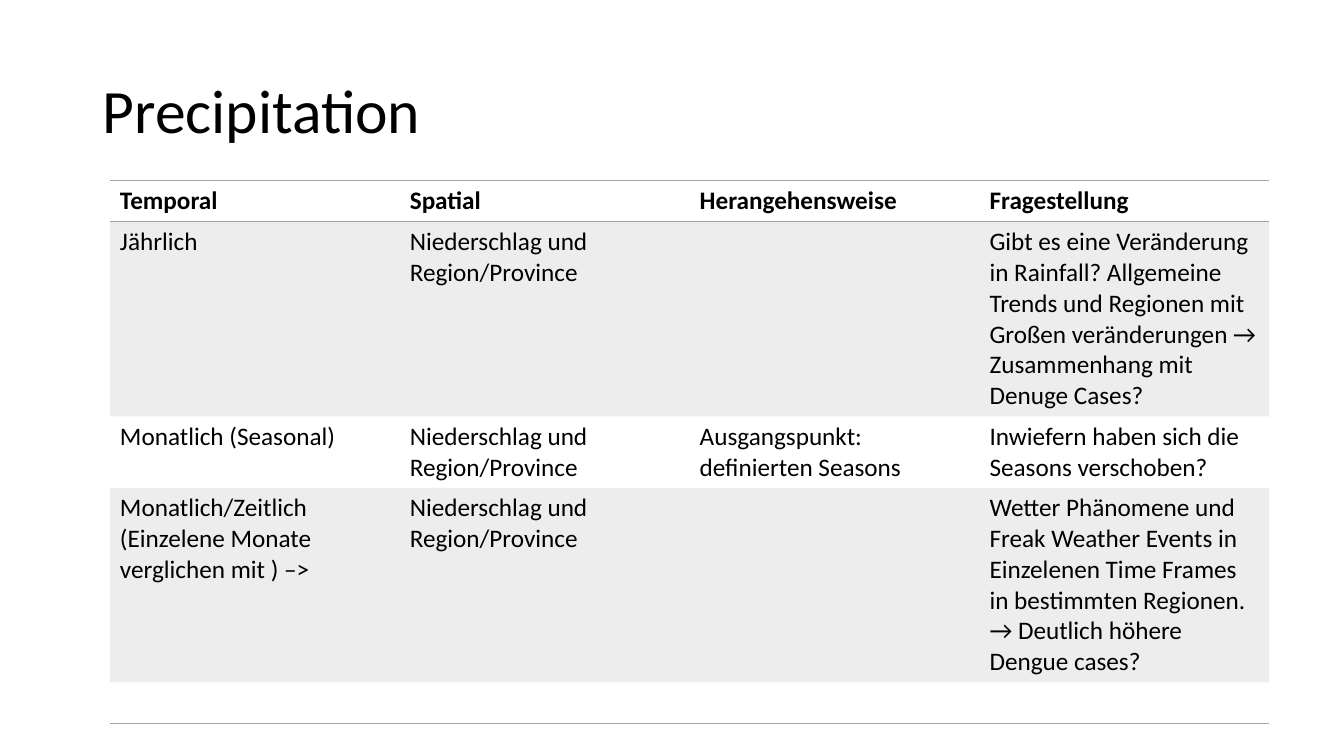
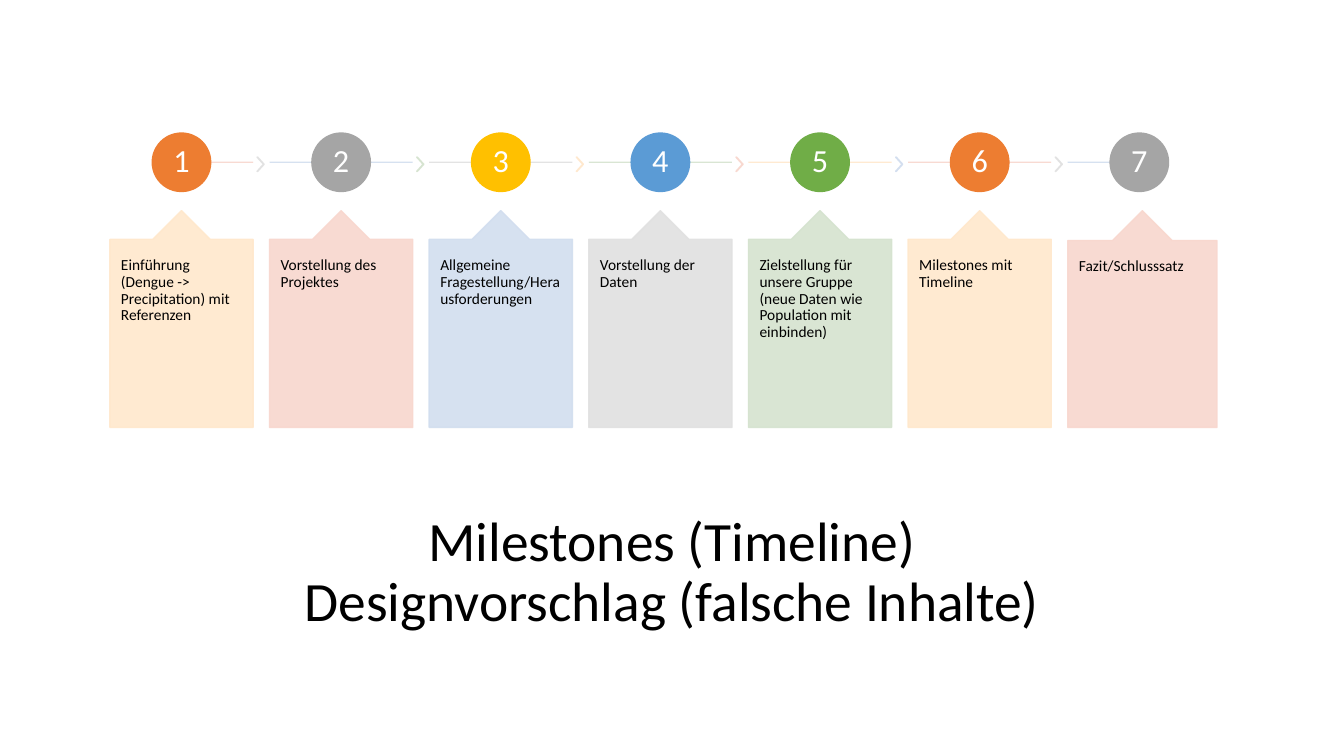
from lxml import etree
from pptx import Presentation
from pptx.dml.color import RGBColor
from pptx.enum.shapes import MSO_CONNECTOR, MSO_SHAPE
from pptx.enum.text import MSO_ANCHOR, PP_ALIGN
from pptx.oxml.ns import qn
from pptx.util import Inches, Pt

LEFT, CENTER = PP_ALIGN.LEFT, PP_ALIGN.CENTER
TOP, MIDDLE = MSO_ANCHOR.TOP, MSO_ANCHOR.MIDDLE
OVAL, CHEVRON, CARD = MSO_SHAPE.OVAL, MSO_SHAPE.CHEVRON, MSO_SHAPE.UP_ARROW_CALLOUT
STRAIGHT = MSO_CONNECTOR.STRAIGHT

FONT, BLACK, WHITE, GRAY = "Calibri", "000000", "FFFFFF", "A5A5A5"
BRIGHT = ["ED7D31", GRAY, "FFC000", "5B9BD5", "70AD47"]
PALE = ["FFE8CC", "F8D7CE", "D2DEEF", "E1E1E1", "D5E3CF"]
PLAIN = "{2D5ABB26-0587-4C30-8999-92F81FD0307C}"  # table style without grid
WIDE, HIGH = 13.33, 7.5


def tint(part, root, color, alpha=100):
    """Paint fill and line of a part; alpha is the opacity in percent of all under root."""
    rgb = RGBColor.from_string(color)
    if hasattr(part, "fill"):
        part.fill.solid()
        part.fill.fore_color.rgb = rgb
    if hasattr(part, "line"):
        part.line.width = Pt(1)
        part.line.color.rgb = rgb
    if alpha < 100:
        for node in root.iter(qn("a:srgbClr")):
            etree.SubElement(node, qn("a:alpha"), val=str(alpha * 1000))


def write(frame, texts, size, color=BLACK, bold=False, align=LEFT, space=0.9):
    """Fill a text frame with one paragraph for each text."""
    frame.word_wrap = True
    look = {"name": FONT, "size": Pt(size), "bold": bold}
    for i, text in enumerate(texts):
        para = frame.add_paragraph() if i else frame.paragraphs[0]
        para.text = text
        para.alignment, para.line_spacing = align, space
        for run in para.runs:
            for key, value in look.items():
                setattr(run.font, key, value)
            run.font.color.rgb = RGBColor.from_string(color)


deck = Presentation()
deck.slide_width, deck.slide_height = Inches(WIDE), Inches(HIGH)

# Slides and titles: text, place, size, alignment
TITLES = [
    ("Precipitation", (0.92, 0.4, 11.5, 1.45), 44, LEFT),
    ("""Milestones (Timeline)
Designvorschlag (falsche Inhalte)""", (1.5, 5.03, 10.33, 1.32), 39.6, CENTER),
]
slides = []
for text, place, size, align in TITLES:
    slide = deck.slides.add_slide(deck.slide_layouts[6])
    title = slide.shapes.add_textbox(*map(Inches, place))
    title.text_frame.vertical_anchor = MIDDLE
    write(title.text_frame, [text], size, align=align)
    slides.append(slide)
rain, plan = slides

# Precipitation table
AREA = "Niederschlag und Region/Province"
ROWS = [
    ["Temporal", "Spatial", "Herangehensweise", "Fragestellung"],
    ["Jährlich", AREA, "",
     "Gibt es eine Veränderung in Rainfall? Allgemeine Trends und Regionen mit "
     "Großen veränderungen → Zusammenhang mit Denuge Cases?"],
    ["Monatlich (Seasonal)", AREA, "Ausgangspunkt: definierten Seasons",
     "Inwiefern haben sich die Seasons verschoben?"],
    ["Monatlich/Zeitlich (Einzelene Monate verglichen mit ) –>", AREA, "",
     "Wetter Phänomene und Freak Weather Events in Einzelenen Time Frames in "
     "bestimmten Regionen.\n→ Deutlich höhere Dengue cases?"],
    [""] * 4,
]
TALL = [0.41, 1.93, 0.71, 1.93, 0.41]
EDGES = {0: ("a:lnT", "a:lnB"), 4: ("a:lnB",)}

frame = rain.shapes.add_table(len(ROWS), 4, *map(Inches, (1.09, 1.79, 11.5, sum(TALL))))
table = frame.table
table.first_row = table.horz_banding = False
table._tbl.tblPr.find(qn("a:tableStyleId")).text = PLAIN
for r, texts in enumerate(ROWS):
    table.rows[r].height = Inches(TALL[r])
    for c, text in enumerate(texts):
        cell = table.cell(r, c)
        write(cell.text_frame, text.split("\n"), 18, bold=r == 0, space=1)
        props = cell._tc.get_or_add_tcPr()
        if r % 2:
            tint(cell, props, GRAY, 20)
        else:
            cell.fill.background()
        for spot, edge in enumerate(EDGES.get(r, ())):
            line = etree.Element(qn(edge), w=str(Pt(1)))
            solid = etree.SubElement(line, qn("a:solidFill"))
            etree.SubElement(solid, qn("a:srgbClr"), val=GRAY)
            props.insert(spot, line)

# Timeline: one column for each step
STEPS = [
    "Einführung (Dengue -> Precipitation) mit Referenzen",
    "Vorstellung des Projektes",
    "Allgemeine Fragestellung/Herausforderungen",
    "Vorstellung der Daten",
    "Zielstellung für unsere Gruppe (neue Daten wie Population mit einbinden)",
    "Milestones mit Timeline",
    "Fazit/Schlusssatz",
]
START, COL, BODY, AXIS, DOT = 1.09, 9.5 / 6, 1.42, 1.61, 0.58
LAST = len(STEPS) - 1

for i, step in enumerate(STEPS):
    x = START + i * COL
    mid = x + BODY / 2
    pale = [PALE[(i + k) % len(PALE)] for k in range(len(PALE))]

    ends = (x if i else mid, AXIS, mid if i == LAST else x + BODY, AXIS)
    line = plan.shapes.add_connector(STRAIGHT, *map(Inches, ends))
    tint(line, line._element.spPr, pale[1], 90)
    etree.SubElement(line._element.spPr, qn("a:effectLst"))

    # kind, place, adjustments, colour, opacity
    parts = [
        (CHEVRON, (x + 1.46, AXIS - 0.05, 0.07, 0.14), [0.9], pale[3], 90),
        (OVAL, (mid - DOT / 2, AXIS - DOT / 2, DOT, DOT), [], BRIGHT[i % len(BRIGHT)], 100),
        (CARD, (x, 2.09, 1.48 if i == LAST else BODY, 2.15), [0.5, 0.2, 0.2, 1], pale[0], 90),
    ]
    for kind, place, bends, color, alpha in parts[i == LAST:]:
        shape = plan.shapes.add_shape(kind, *map(Inches, place))
        shape.shadow.inherit = False
        for k, bend in enumerate(bends):
            shape.adjustments[k] = bend
        tint(shape, shape._element.spPr, color, alpha)
        text = shape.text_frame
        pad = {CARD: (0.11, 0.18), OVAL: (0.02, 0.02)}.get(kind, (0, 0))
        for side, gap in zip(("left", "top", "right", "bottom"), pad * 2):
            setattr(text, "margin_" + side, Inches(gap))
        if kind == OVAL:
            text.vertical_anchor = MIDDLE
            write(text, [str(i + 1)], 23, WHITE, align=CENTER)
        elif kind == CARD:
            text.vertical_anchor = TOP
            write(text, [step], 11)

deck.save("out.pptx")
